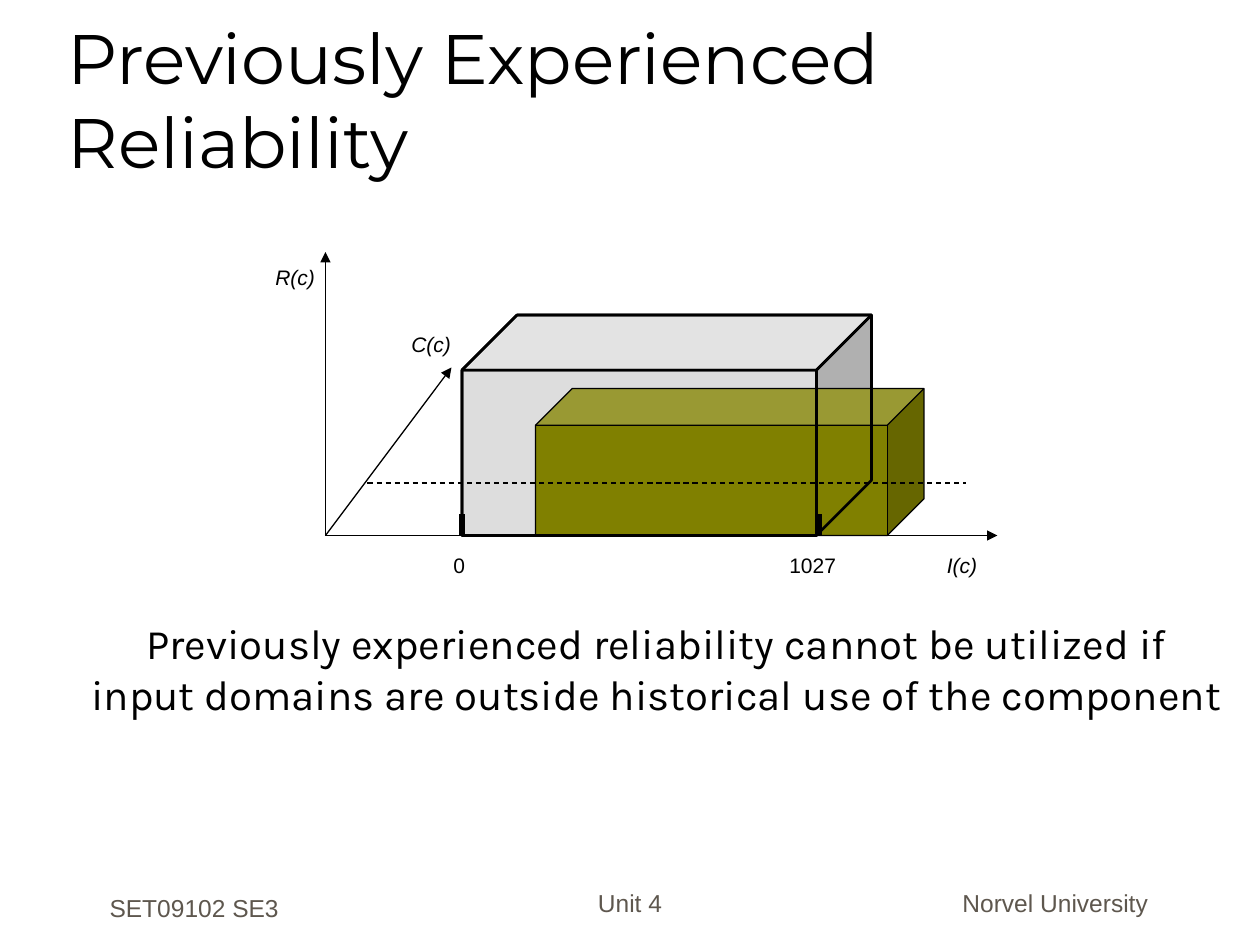
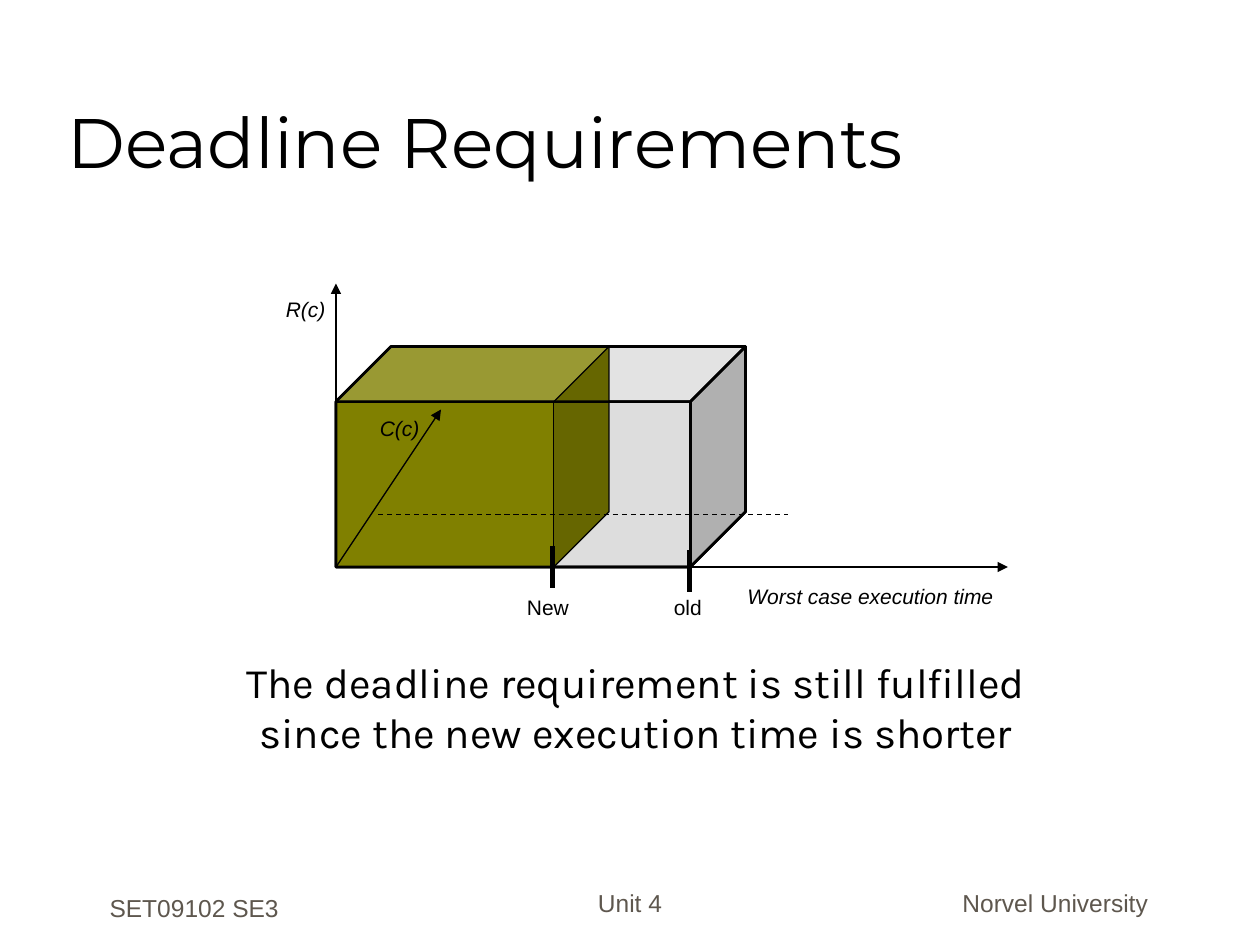
"""Two slides that show component reliability as boxes on three axes."""
from lxml.etree import SubElement
from pptx import Presentation
from pptx.dml.color import RGBColor
from pptx.enum.dml import MSO_LINE
from pptx.enum.shapes import MSO_CONNECTOR, MSO_SHAPE
from pptx.enum.text import MSO_ANCHOR, MSO_AUTO_SIZE, PP_ALIGN
from pptx.oxml.ns import qn
from pptx.util import Inches, Pt

COLS, ROWS = 120, 90


def tint(code):
    """Turn a hex string into a colour."""
    return RGBColor.from_string(code)


def write(frame, text, font="Arial", size=12, color="000000", italic=False,
          align=PP_ALIGN.LEFT, anchor=MSO_ANCHOR.TOP, wrap=True, grow=False):
    """Fill a text frame, one paragraph for each line of text."""
    frame.word_wrap = wrap
    frame.auto_size = MSO_AUTO_SIZE.SHAPE_TO_FIT_TEXT if grow else MSO_AUTO_SIZE.NONE
    frame.vertical_anchor = anchor
    frame.margin_left = frame.margin_right = Inches(0.1)
    frame.margin_top = frame.margin_bottom = Inches(0.05)
    frame.text = text
    for para in frame.paragraphs:
        para.alignment = align
        for run in para.runs:
            run.font.name, run.font.size = font, Pt(size)
            run.font.italic = italic
            run.font.color.rgb = tint(color)


class Deck:
    """Hold the style and the current slide."""

    ink, gray, olive, foot = "000000", "DDDDDD", "808000", "5E574E"
    thin, bold, thick = 0.75, 1.5, 3

    def __init__(self):
        """Start a deck whose grid has cells of equal sides."""
        self.show = Presentation()
        self.show.slide_width, self.show.slide_height = Inches(10), Inches(7.5)
        self.slide = None

    def spot(self, *cells):
        """Turn pairs of columns and rows into lengths."""
        steps = self.show.slide_width / COLS, self.show.slide_height / ROWS
        return [round(cell * steps[i % 2]) for i, cell in enumerate(cells)]

    def page(self, title):
        """Add a slide with its title and footers."""
        self.slide = self.show.slides.add_slide(self.show.slide_layouts[5])
        head = self.slide.shapes.title
        head.left, head.top, head.width, head.height = self.spot(5.25, 3, 102, 15)
        write(head.text_frame, title, font="Montserrat", size=40, color=self.ink,
              anchor=MSO_ANCHOR.BOTTOM)
        low, top = MSO_ANCHOR.BOTTOM, MSO_ANCHOR.TOP
        for text, area, anchor in (("Norvel University", (84, 84, 33, 4), top),
                                   ("SET09102 SE3", (6, 82.7, 25, 5.75), low),
                                   ("Unit 4", (41, 82, 38, 6), low)):
            self.text(text, *area, size=14, color=self.foot,
                      align=PP_ALIGN.CENTER, anchor=anchor)

    def text(self, text, x, y, wide, high, **style):
        """Add a text box."""
        box = self.slide.shapes.add_textbox(*self.spot(x, y, wide, high))
        write(box.text_frame, text, **style)

    def label(self, text, x, y, wide, italic=False):
        """Add a short label beside an axis."""
        self.text(text, x, y, wide, 3.6, italic=italic, wrap=False, grow=True)

    def caption(self, text, x, y, wide, wrap):
        """Add the centred statement below the axes."""
        self.text(text, x, y, wide, 10.8, font="Karla", size=24,
                  align=PP_ALIGN.CENTER, wrap=wrap, grow=True)

    def cube(self, area, fill=None, width=thin):
        """Add a cube, hollow when it has no fill."""
        cube = self.slide.shapes.add_shape(MSO_SHAPE.CUBE, *self.spot(*area))
        cube.adjustments[0] = 0.25
        cube.shadow.inherit = False
        if fill:
            cube.fill.solid()
            cube.fill.fore_color.rgb = tint(fill)
        else:
            cube.fill.background()
        cube.line.color.rgb = tint(self.ink)
        cube.line.width = Pt(width)

    def line(self, x, y, dx, dy, width=thin, dash=False, arrow=False):
        """Add a line from a point by an offset."""
        ends = self.spot(x, y, x + dx, y + dy)
        line = self.slide.shapes.add_connector(MSO_CONNECTOR.STRAIGHT, *ends)
        line.line.color.rgb = tint(self.ink)
        line.line.width = Pt(width)
        if dash:
            line.line.dash_style = MSO_LINE.DASH
        if arrow:
            SubElement(line.line._get_or_add_ln(), qn("a:tailEnd"), type="triangle")
        SubElement(line._element.spPr, qn("a:effectLst"))

    def axes(self, x, y, depth):
        """Add the three axes from their origin."""
        for dx, dy in ((64, 0), depth, (0, -27)):
            self.line(x, y, dx, dy, arrow=True)

    def tick(self, x, y, high):
        """Mark a value on the input axis."""
        self.line(x, y, 0, high, width=self.thick)

    def past(self):
        """Draw the slide on earlier reliability."""
        self.page("Previously Experienced Reliability")
        old = 44, 30, 39, 21
        self.cube(old, self.gray, self.bold)
        self.cube((51, 37, 37, 14), self.olive)
        self.axes(31, 51, (12, -16))
        self.label("R(c)", 25.05, 24.65, 6.5, italic=True)
        self.label("C(c)", 38, 31, 6.5, italic=True)
        self.label("I(c)", 89, 52, 5.7, italic=True)
        self.line(35, 46, 57, 0, dash=True)
        for x in (44, 78):
            self.tick(x, 49, 2)
        self.label("0", 42, 52, 3.9)
        self.label("1027", 74, 52, 7.2)
        self.cube(old, width=self.bold)
        self.caption("Previously experienced reliability cannot be utilized if\n"
                     "input domains are outside historical use of the component",
                     6.3, 58.25, 112.4, wrap=False)

    def due(self):
        """Draw the slide on deadlines."""
        self.page("Deadline Requirements")
        old = 32, 33, 39, 21
        self.cube(old, self.gray, self.bold)
        self.cube((32, 33, 26, 21), self.olive)
        self.axes(32, 54, (10, -15))
        self.label("R(c)", 26.05, 27.65, 6.5, italic=True)
        self.label("C(c)", 35, 39, 6.5, italic=True)
        self.label("Worst case execution time", 70, 55, 26.5, italic=True)
        self.line(36, 49, 39, 0, dash=True)
        self.tick(52.6, 52, 4)
        self.tick(65.7, 52.4, 4)
        self.cube(old, width=self.bold)
        self.label("New", 49, 56, 6.8)
        self.label("old", 63, 56, 5.5)
        self.caption("The deadline requirement is still fulfilled\n"
                     "since the new execution time is shorter",
                     18, 61.9, 85.1, wrap=True)


def main():
    """Build both slides and save them."""
    deck = Deck()
    deck.past()
    deck.due()
    deck.show.save("out.pptx")


if __name__ == "__main__":
    main()
